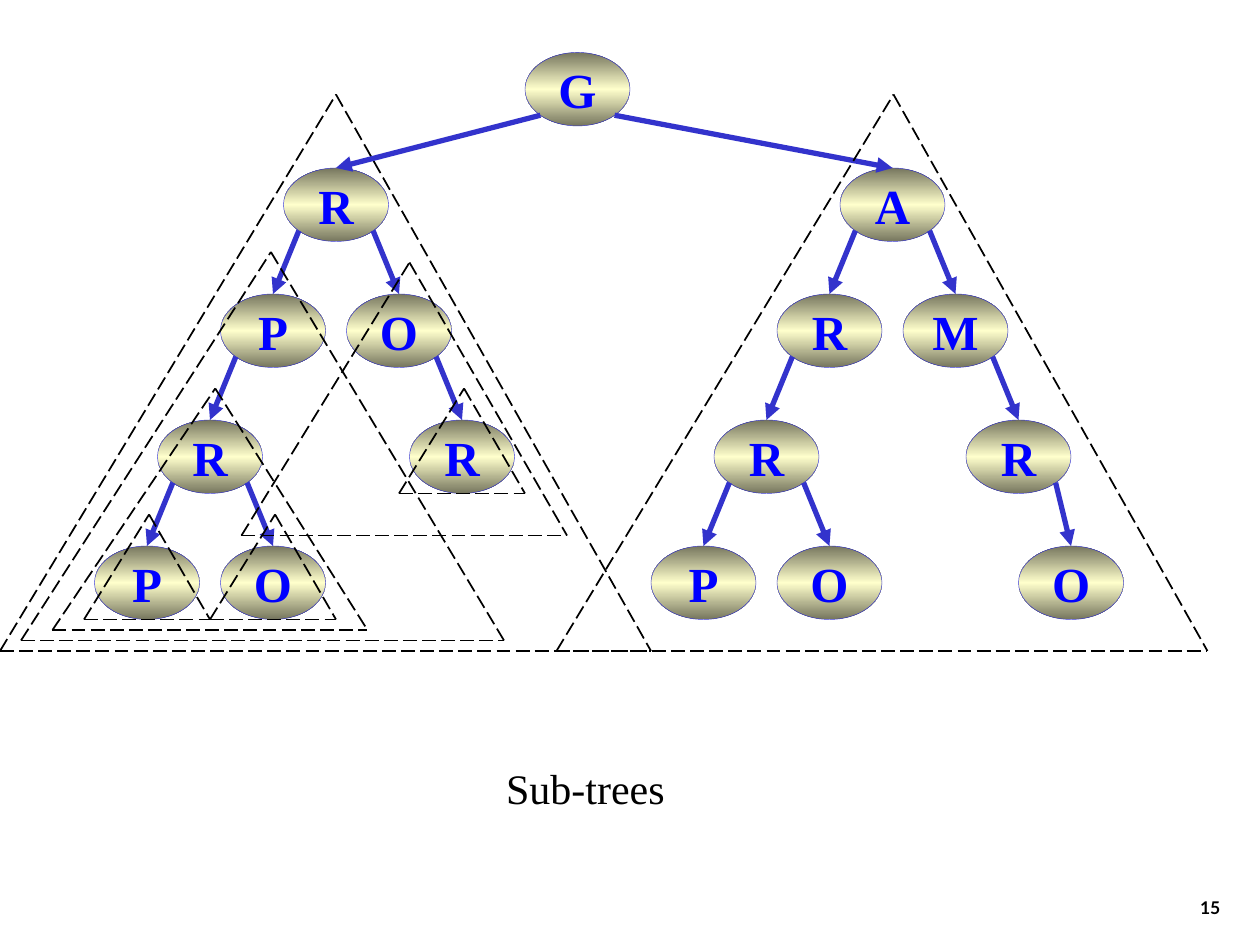
import copy
import math
from dataclasses import dataclass

import lxml.etree
import pptx
import pptx.dml.color
import pptx.enum.dml
import pptx.enum.shapes
import pptx.enum.text
import pptx.oxml.ns
import pptx.util

RGBColor = pptx.dml.color.RGBColor
BLACK = RGBColor(0x00, 0x00, 0x00)
LETTER_BLUE = RGBColor(0x00, 0x00, 0xFF)
BRANCH_BLUE = RGBColor(0x33, 0x33, 0xCC)
OLIVE = RGBColor(0x76, 0x76, 0x5E)
CREAM = RGBColor(0xFF, 0xFF, 0xCC)

SLIDE_WIDTH = pptx.util.Inches(10)
SLIDE_HEIGHT = pptx.util.Inches(7.5)
COLUMNS, ROWS = 120, 90
NODE_COLUMNS, NODE_ROWS = 10, 7
SERIF = "Times New Roman"
ALIGN = pptx.enum.text.PP_ALIGN
ANCHOR = pptx.enum.text.MSO_ANCHOR


@dataclass(frozen=True)
class Node:
    letter: str
    column: float
    row: float
    children: tuple["Node", ...] = ()


@dataclass(frozen=True)
class Subtree:
    left: float
    right: float
    base: float
    apex_column: float
    apex_row: float


LEFT_TREE = Node("R", 27, 16, (
    Node("P", 21, 28, (
        Node("R", 15, 40, (Node("P", 9, 52), Node("O", 21, 52))),
    )),
    Node("O", 33, 28, (Node("R", 39, 40),)),
))
RIGHT_TREE = Node("A", 80, 16, (
    Node("R", 74, 28, (
        Node("R", 68, 40, (Node("P", 62, 52), Node("O", 74, 52))),
    )),
    Node("M", 86, 28, (
        Node("R", 92, 40, (Node("O", 97, 52),)),
    )),
))
ROOT = Node("G", 50, 5, (LEFT_TREE, RIGHT_TREE))

LEFT_SUBTREE = Subtree(0, 62, 62, 32, 9)
OTHER_SUBTREES = (
    Subtree(2, 48, 61, 25.8, 24),
    Subtree(8, 20, 59, 14.2, 49),
    Subtree(5, 35, 60, 20.5, 37),
    Subtree(20, 32, 59, 26.2, 49),
    Subtree(23, 54, 51, 39, 25),
    Subtree(38, 50, 47, 44.2, 37),
    Subtree(53, 115, 62, 85.1, 9),
)


def across(columns: float) -> int:
    return round(SLIDE_WIDTH * columns / COLUMNS)


def down(rows: float) -> int:
    return round(SLIDE_HEIGHT * rows / ROWS)


def write(shape, text: str, *, size: float, color: RGBColor, font: str = SERIF,
          bold: bool = False, align=ALIGN.LEFT, anchor=ANCHOR.TOP,
          wrap: bool = False) -> None:
    frame = shape.text_frame
    frame.word_wrap = wrap
    frame.auto_size = pptx.enum.text.MSO_AUTO_SIZE.NONE
    frame.vertical_anchor = anchor
    frame.margin_left = frame.margin_right = pptx.util.Inches(0.1)
    frame.margin_top = frame.margin_bottom = pptx.util.Inches(0.05)
    paragraph = frame.paragraphs[0]
    paragraph.alignment = align
    run = paragraph.add_run()
    run.text = text
    run.font.name = font
    run.font.size = pptx.util.Pt(size)
    run.font.bold = bold
    run.font.color.rgb = color


def draw_line(shapes, start: tuple[float, float], end: tuple[float, float],
              color: RGBColor, width: float):
    line = shapes.add_connector(
        pptx.enum.shapes.MSO_CONNECTOR.STRAIGHT,
        across(start[0]), down(start[1]), across(end[0]), down(end[1]))
    line.line.color.rgb = color
    line.line.width = pptx.util.Pt(width)
    lxml.etree.SubElement(line._element.spPr, pptx.oxml.ns.qn("a:effectLst"))
    return line


def draw_subtree(shapes, subtree: Subtree) -> None:
    sides = shapes.add_group_shape().shapes
    left = (subtree.left, subtree.base)
    right = (subtree.right, subtree.base)
    apex = (subtree.apex_column, subtree.apex_row)
    for start, end in ((left, apex), (apex, right), (left, right)):
        side = draw_line(sides, start, end, BLACK, 1)
        side.line.dash_style = pptx.enum.dml.MSO_LINE.LONG_DASH


def shade(shape) -> None:
    shape.fill.gradient()
    shape.fill.gradient_angle = 90
    stop_list = shape._element.spPr.find(".//" + pptx.oxml.ns.qn("a:gsLst"))
    stop_list.append(copy.deepcopy(stop_list[0]))
    for stop, position, color in zip(
            shape.fill.gradient_stops, (0, 0.5, 1), (OLIVE, CREAM, OLIVE)):
        stop.position = position
        stop.color.rgb = color


def draw_branch(shapes, parent: Node, child: Node, child_oval) -> None:
    direction = math.copysign(1, child.column - parent.column)
    diagonal = math.sqrt(0.5)
    start = (parent.column + NODE_COLUMNS / 2 * (1 + direction * diagonal),
             parent.row + NODE_ROWS / 2 * (1 + diagonal))
    end = (child.column + NODE_COLUMNS / 2, child.row)
    branch = draw_line(shapes, start, end, BRANCH_BLUE, 3)
    branch.end_connect(child_oval, 0)
    lxml.etree.SubElement(branch.line._get_or_add_ln(),
                          pptx.oxml.ns.qn("a:tailEnd"), type="triangle")


def draw_tree(shapes, node: Node):
    oval = shapes.add_shape(
        pptx.enum.shapes.MSO_SHAPE.OVAL, across(node.column), down(node.row),
        across(NODE_COLUMNS), down(NODE_ROWS))
    oval.shadow.inherit = False
    shade(oval)
    oval.line.color.rgb = BRANCH_BLUE
    oval.line.width = pptx.util.Pt(0.25)
    write(oval, node.letter, size=28, color=LETTER_BLUE, bold=True,
          align=ALIGN.CENTER, anchor=ANCHOR.MIDDLE)
    for child in node.children:
        child_oval = draw_tree(shapes, child)
        draw_branch(shapes, node, child, child_oval)
    return oval


def main() -> None:
    deck = pptx.Presentation()
    deck.slide_width, deck.slide_height = SLIDE_WIDTH, SLIDE_HEIGHT
    slide = deck.slides.add_slide(deck.slide_layouts[5])
    shapes = slide.shapes

    caption = shapes.title
    caption.left, caption.top = across(47), down(72)
    caption.width, caption.height = across(18.5), down(6)
    write(caption, "Sub-trees", size=24, color=BLACK)

    draw_subtree(shapes, LEFT_SUBTREE)
    draw_tree(shapes, ROOT)
    for subtree in OTHER_SUBTREES:
        draw_subtree(shapes, subtree)

    page_number = shapes.add_textbox(across(92.4), down(82), across(25), down(6))
    write(page_number, "15", size=10, color=BLACK, font="Lato", bold=True,
          align=ALIGN.RIGHT, anchor=ANCHOR.BOTTOM, wrap=True)

    deck.save("out.pptx")


if __name__ == "__main__":
    main()
